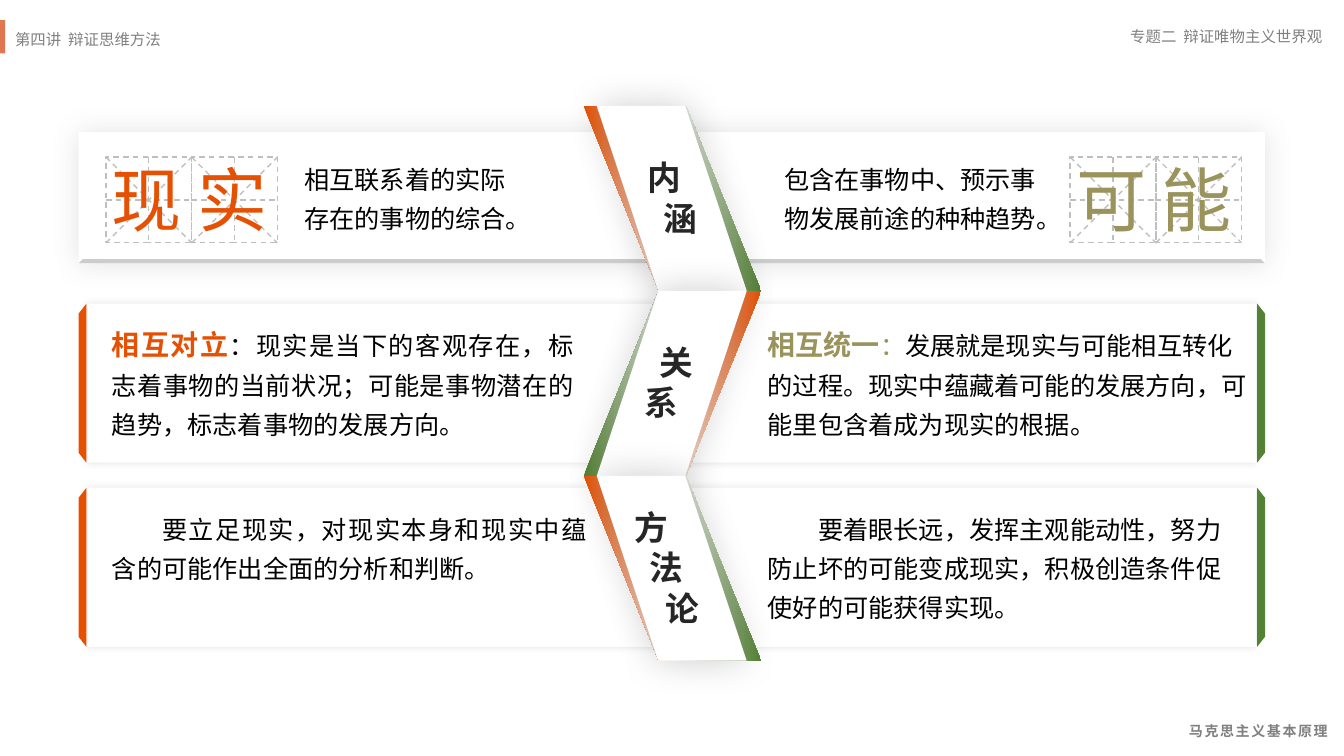
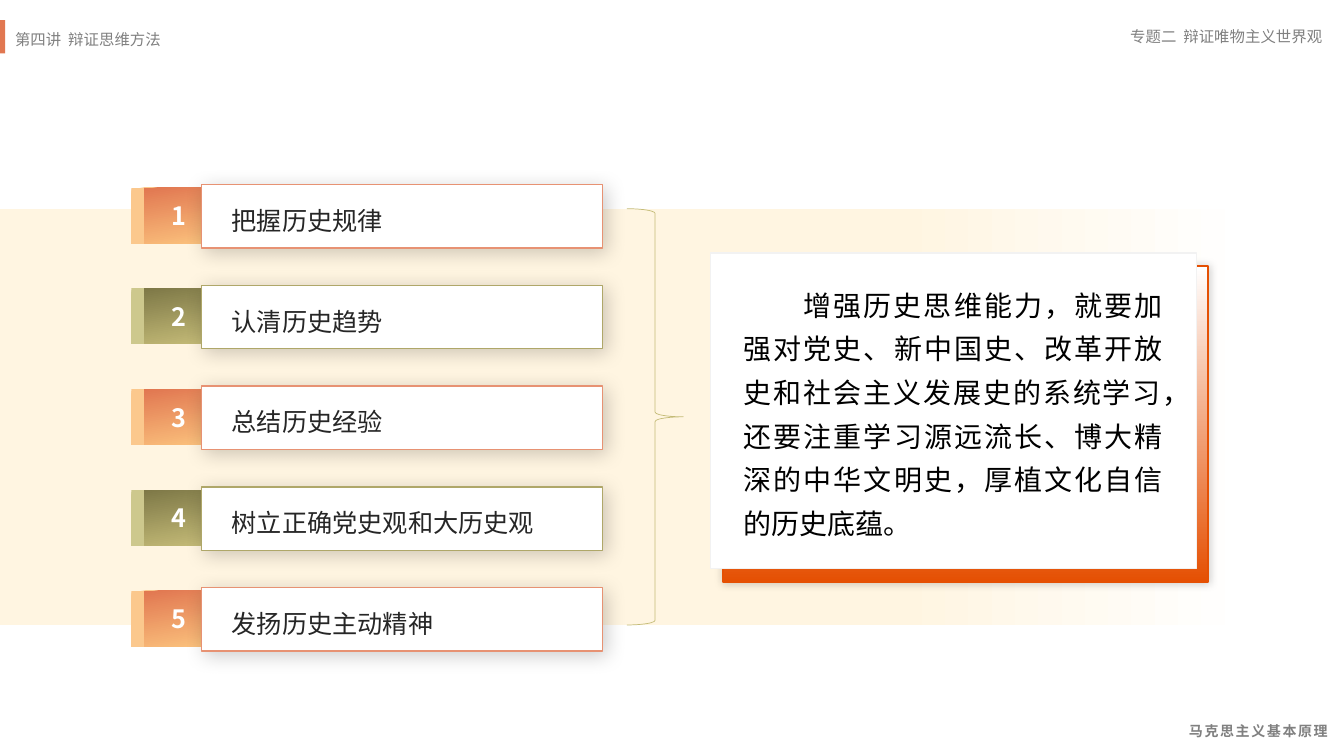
"""Build two lecture slides on dialectical thinking."""
import lxml.etree
import pptx
import pptx.dml.color
import pptx.enum.dml
import pptx.enum.shapes
import pptx.enum.text
import pptx.oxml.ns
import pptx.util

Cm = pptx.util.Cm
Pt = pptx.util.Pt
RGB = pptx.dml.color.RGBColor
KIND = pptx.enum.shapes.MSO_SHAPE
ALIGN = pptx.enum.text.PP_ALIGN
qn = pptx.oxml.ns.qn

BLACK = RGB(0x00, 0x00, 0x00)
WHITE = RGB(0xFF, 0xFF, 0xFF)
INK = RGB(0x26, 0x26, 0x26)
GREY = RGB(0x80, 0x80, 0x80)
GUIDE_GREY = RGB(0xBF, 0xBF, 0xBF)
PALE_GREY = RGB(0xF2, 0xF2, 0xF2)
SHADE = RGB(0x76, 0x71, 0x71)
ORANGE = RGB(0xE5, 0x50, 0x03)
CORAL = RGB(0xE1, 0x77, 0x51)
CORAL_EDGE = RGB(0xE7, 0x92, 0x73)
APRICOT = RGB(0xFB, 0xC2, 0x7D)
APRICOT_SHADE = RGB(0xFB, 0xC8, 0x8D)
GREEN = RGB(0x54, 0x82, 0x35)
OLIVE = RGB(0x9A, 0x93, 0x5B)
OLIVE_DARK = RGB(0x7E, 0x78, 0x47)
OLIVE_LIGHT = RGB(0xC5, 0xBC, 0x78)
OLIVE_EDGE = RGB(0xAF, 0xA7, 0x69)
OLIVE_SHADE = RGB(0xCD, 0xC8, 0x8D)
BRACE = RGB(0xC4, 0xBB, 0x77)
CREAM = RGB(0xFF, 0xF5, 0xE1)
SANS = "Noto Sans CJK SC"
GLYPH = "Noto Sans CJK JP"


def write(holder, text, size=18, color=BLACK, bold=False, font=SANS, align=None,
          spacing=None, first=0, lefts=(), tracking=0):
    """Fill a shape with paragraphs; each is a string or a list of (string, overrides)."""
    frame = holder.text_frame
    frame.word_wrap = True
    for index, content in enumerate(text if isinstance(text, list) else [text]):
        paragraph = frame.add_paragraph() if index else frame.paragraphs[0]
        paragraph.alignment = align
        paragraph.line_spacing = spacing
        properties = paragraph._p.get_or_add_pPr()
        properties.set("marL", str(Cm(lefts[index] if lefts else 0)))
        properties.set("indent", str(Cm(first)))
        for words, change in [(content, {})] if isinstance(content, str) else content:
            run = paragraph.add_run()
            run.text = words
            run.font.size = Pt(change.get("size", size))
            run.font.bold = change.get("bold", bold)
            run.font.color.rgb = change.get("color", color)
            run.font.name = font
            traits = run.font._element
            lxml.etree.SubElement(traits, qn("a:ea")).set("typeface", font)
            if tracking:
                traits.set("spc", str(int(tracking * 100)))


def dress(shape, fill=None, angle=0, line=None, width=1, shadow=None, flip=False):
    """Set fill (a colour or gradient stops), outline, shadow and mirroring."""
    if fill is None:
        shape.fill.background()
    elif isinstance(fill, list):
        shape.fill.gradient()
        shape.fill.gradient_angle = -angle % 360
        stops = shape.element.spPr.find(".//" + qn("a:gsLst"))
        for stop in list(stops):
            stops.remove(stop)
        for position, color in fill:
            stop = lxml.etree.SubElement(stops, qn("a:gs"), pos=str(position * 1000))
            lxml.etree.SubElement(stop, qn("a:srgbClr"), val=str(color))
    else:
        shape.fill.solid()
        shape.fill.fore_color.rgb = fill
    if line is None:
        shape.line.fill.background()
    else:
        shape.line.color.rgb = line
        shape.line.width = Pt(width)
    shape.shadow.inherit = False
    if shadow:
        color, opacity, blur, distance, direction = shadow
        effects = shape.element.spPr.find(qn("a:effectLst"))
        outer = lxml.etree.SubElement(
            effects, qn("a:outerShdw"), blurRad=str(Pt(blur)), dist=str(Pt(distance)),
            dir=str(direction * 60000), algn="ctr", rotWithShape="0")
        tint = lxml.etree.SubElement(outer, qn("a:srgbClr"), val=str(color))
        lxml.etree.SubElement(tint, qn("a:alpha"), val=str(opacity * 1000))
    if flip:
        shape.element.spPr.find(qn("a:xfrm")).set("flipH", "1")


deck = pptx.Presentation()
deck.slide_width = Cm(33.87)
deck.slide_height = Cm(19.05)
layout = deck.slide_layouts[6]
for placeholder in list(layout.placeholders):
    layout.shapes.element.remove(placeholder.element)

concepts = deck.slides.add_slide(layout)
shapes = concepts.shapes

course = shapes.add_textbox(Cm(27.13), Cm(17.88), Cm(6.58), Cm(0.81))
write(course, "马克思主义基本原理", size=10, color=GREY, bold=True,
      align=ALIGN.RIGHT, spacing=1.5, tracking=1.2)
topic = shapes.add_textbox(Cm(25.22), Cm(0.56), Cm(8.36), Cm(0.74))
write(topic, "专题二  辩证唯物主义世界观", size=11, color=GREY, align=ALIGN.RIGHT)
lecture = shapes.add_textbox(Cm(0.13), Cm(0.53), Cm(19.89), Cm(0.76))
write(lecture, "第四讲  辩证思维方法", size=11, color=GREY, spacing=1.2)
marker = shapes.add_shape(KIND.RECTANGLE, Cm(0), Cm(0.51), Cm(0.13), Cm(0.84))
dress(marker, CORAL)
for shared in (course, topic, lecture, marker):
    layout.shapes.element.append(shared.element)

PANEL_W, PANEL_H, EDGE_W = 14.73, 4.01, 0.2
for top in (12.29, 7.65):
    for left, edge_center, turn, edge_color in (
            (16.92, 31.78, 90, GREEN), (2.21, 2.08, 270, ORANGE)):
        panel = shapes.add_shape(KIND.RECTANGLE, Cm(left), Cm(top), Cm(PANEL_W), Cm(PANEL_H))
        dress(panel, WHITE, shadow=(SHADE, 20, 5, 0, 0))
        edge = shapes.add_shape(
            KIND.TRAPEZOID, Cm(edge_center - PANEL_H / 2), Cm(top + (PANEL_H - EDGE_W) / 2),
            Cm(PANEL_H), Cm(EDGE_W))
        edge.adjustments[0] = 1.27
        edge.rotation = turn
        dress(edge, edge_color)

for left, mirrored in ((17.15, True), (1.98, False)):
    plaque = shapes.add_shape(KIND.BEVEL, Cm(left), Cm(3.33), Cm(PANEL_W), Cm(3.3))
    plaque.adjustments[0] = 0.03
    dress(plaque, WHITE, shadow=(SHADE, 20, 20, 0, 0), flip=mirrored)

opposition = [[
    ("相互对立", {"size": 20, "color": ORANGE, "bold": True}),
    ("：现实是当下的客观存在，标志着事物的当前状况；可能是事物潜在的趋势，标志着事物的发展方向。", {})]]
unity = [[
    ("相互统一", {"size": 20, "color": OLIVE, "bold": True}),
    ("：", {"color": OLIVE}),
    ("发展就是现实与可能相互转化的过程。现实中蕴藏着可能的发展方向，可能里包含着成为现实的根据。", {})]]
for left, top, width, height, statement, align, first in (
        (19.51, 3.78, 6.93, 2.26, "包含在事物中、预示事物发展前途的种种趋势。", None, 0),
        (7.42, 3.78, 5.94, 2.26, "相互联系着的实际存在的事物的综合。", None, 0),
        (2.57, 7.87, 12.14, 3.28, opposition, ALIGN.JUSTIFY, 0),
        (19.1, 7.87, 12.57, 3.28, unity, None, 0),
        (2.57, 12.6, 12.47, 2.16, "要立足现实，对现实本身和现实中蕴含的可能作出全面的分析和判断。",
         ALIGN.JUSTIFY, 1.27),
        (19.1, 12.6, 12.55, 3.15,
         "要着眼长远，发挥主观能动性，努力防止坏的可能变成现实，积极创造条件促使好的可能获得实现。",
         None, 1.27)):
    body = shapes.add_textbox(Cm(left), Cm(top), Cm(width), Cm(height))
    write(body, statement, align=align, spacing=1.3, first=first)

CELL, CELL_TOP = 2.16, 3.96
for word, word_left, word_color in (("现实", 2.67, ORANGE), ("可能", 26.97, OLIVE)):
    for position, character in enumerate(word):
        left = word_left + position * CELL
        right, middle = left + CELL, left + CELL / 2
        bottom, center = CELL_TOP + CELL, CELL_TOP + CELL / 2
        cell = shapes.add_shape(KIND.RECTANGLE, Cm(left), Cm(CELL_TOP), Cm(CELL), Cm(CELL))
        dress(cell, line=GUIDE_GREY)
        cell.line.dash_style = pptx.enum.dml.MSO_LINE.DASH
        for ends in ((left, CELL_TOP, right, bottom), (left, bottom, right, CELL_TOP),
                     (left, center, right, center), (middle, CELL_TOP, middle, bottom)):
            guide = shapes.add_connector(pptx.enum.shapes.MSO_CONNECTOR.STRAIGHT, *map(Cm, ends))
            guide.line.color.rgb = GUIDE_GREY
            guide.line.width = Pt(1)
            guide.line.dash_style = pptx.enum.dml.MSO_LINE.DASH
            lxml.etree.SubElement(guide.element.spPr, qn("a:effectLst"))
        glyph = shapes.add_textbox(Cm(left - 0.1), Cm(3.81), Cm(2.29), Cm(2.39))
        write(glyph, character, size=50, color=word_color, font=GLYPH)

FOLD_LEFT, FOLD_SHIFT, FOLD_W, FOLD_H = 14.71, 1.89, 2.58, 4.66
for row, (label, lefts, label_left, label_top) in enumerate((
        (["内", "涵"], (0, 0.38), 16.08, 3.84),
        (["关", "系"], (0.38, 0), 16.0, 8.48),
        (["方", "法", "论"], (0, 0.38, 0.76), 15.75, 12.65))):
    leans_right = row % 2 == 0
    top = 2.67 + row * FOLD_H
    bottom = top + FOLD_H
    upper = FOLD_LEFT + (0 if leans_right else FOLD_SHIFT)
    lower = FOLD_LEFT + (FOLD_SHIFT if leans_right else 0)
    outline = shapes.build_freeform(Cm(upper), Cm(top))
    outline.add_line_segments([
        (Cm(upper + FOLD_W), Cm(top)), (Cm(lower + FOLD_W), Cm(bottom)),
        (Cm(lower), Cm(bottom))], close=True)
    start, end = (ORANGE, GREEN) if leans_right else (GREEN, ORANGE)
    dress(outline.convert_to_shape(), [(0, start), (50, WHITE), (100, end)])
    fold = shapes.add_shape(KIND.PARALLELOGRAM, Cm(15.04), Cm(top), Cm(3.78), Cm(FOLD_H))
    fold.adjustments[0] = 0.41
    dress(fold, WHITE, shadow=(BLACK, 20, 27, 0, 0), flip=leans_right)
    caption = shapes.add_textbox(Cm(label_left), Cm(label_top), Cm(2.39), Cm(1.14 * len(label)))
    write(caption, label, size=24, color=INK, bold=True, lefts=lefts)

history = deck.slides.add_slide(layout)
shapes = history.shapes

band = shapes.add_shape(KIND.RECTANGLE, Cm(0), Cm(5.26), Cm(31.45), Cm(10.49))
dress(band, [(0, WHITE), (28, CREAM), (100, CREAM)], angle=180)

CORAL_STYLE = (CORAL, APRICOT, APRICOT_SHADE, CORAL_EDGE)
OLIVE_STYLE = (OLIVE_DARK, OLIVE_LIGHT, OLIVE_SHADE, OLIVE_EDGE)
for index, point in enumerate((
        "把握历史规律", "认清历史趋势", "总结历史经验", "树立正确党史观和大历史观", "发扬历史主动精神")):
    dark, light, shade, border = OLIVE_STYLE if index % 2 else CORAL_STYLE
    top = 4.65 + index * 2.54
    number = shapes.add_shape(KIND.RECTANGLE, Cm(3.63), Cm(top + 0.08), Cm(1.78), Cm(1.4))
    dress(number, [(0, dark), (100, light)], angle=80, shadow=(shade, 100, 0, 9, 180))
    number.text_frame.vertical_anchor = pptx.enum.text.MSO_ANCHOR.MIDDLE
    write(number, str(index + 1), color=WHITE, bold=True, align=ALIGN.CENTER)
    card = shapes.add_shape(KIND.RECTANGLE, Cm(5.08), Cm(top), Cm(10.11), Cm(1.6))
    dress(card, WHITE, line=border, shadow=(BLACK, 20, 14, 3, 45))
    caption = shapes.add_textbox(Cm(5.59), Cm(top + 0.24), Cm(9.53), Cm(1.09))
    write(caption, point, color=INK, spacing=1.2)

brace = shapes.add_shape(KIND.RIGHT_BRACE, Cm(15.8), Cm(5.26), Cm(1.42), Cm(10.49))
dress(brace, line=BRACE, width=0.5)

backing = shapes.add_shape(KIND.RECTANGLE, Cm(18.21), Cm(6.71), Cm(12.24), Cm(7.95))
dress(backing, [(0, WHITE), (100, ORANGE)], angle=90, line=ORANGE, width=1.5,
      shadow=(BLACK, 20, 6, 0, 0))
sheet = shapes.add_shape(KIND.RECTANGLE, Cm(17.91), Cm(6.38), Cm(12.24), Cm(7.95))
dress(sheet, WHITE, line=PALE_GREY)
conclusion = shapes.add_textbox(Cm(18.49), Cm(6.88), Cm(11.07), Cm(6.93))
write(conclusion,
      "增强历史思维能力，就要加强对党史、新中国史、改革开放史和社会主义发展史的系统学习，"
      "还要注重学习源远流长、博大精深的中华文明史，厚植文化自信的历史底蕴。",
      size=20, align=ALIGN.JUSTIFY, spacing=1.3, first=1.5)

deck.save("out.pptx")
